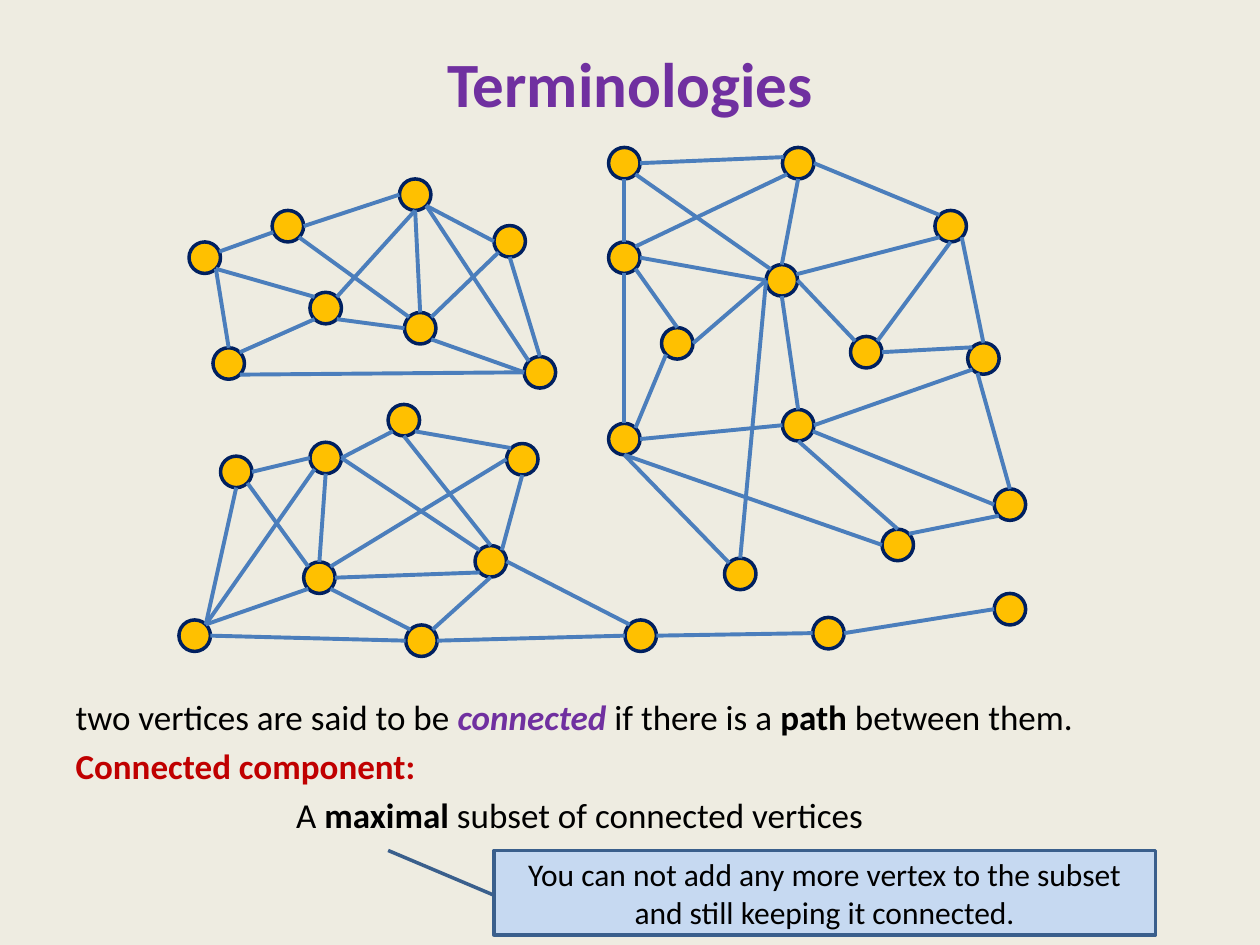
import math

import pptx
import pptx.dml.color
import pptx.enum.shapes
import pptx.enum.text
import pptx.oxml
import pptx.oxml.ns
import pptx.util

Inches = pptx.util.Inches
Pt = pptx.util.Pt
MIDDLE = pptx.enum.text.MSO_ANCHOR.MIDDLE
CENTER = pptx.enum.text.PP_ALIGN.CENTER

COLORS = {
    "background": "EEECE1", "purple": "7030A0", "red": "C00000", "black": "000000",
    "vertex": "FFC000", "vertex_line": "002060", "edge": "4B7EBC",
    "callout": "C6D9F1", "callout_line": "3A5F8C",
}
DIAMETER = 0.25
# Sixteen compass points, clockwise from east.
COMPASS = "E ESE SE SSE S SSW SW WSW W WNW NW NNW N NNE NE ENE".split()

# Vertices are offsets of each circle from the origin of its component.
# An edge such as "aSE-eNW" joins two vertices at compass points.
COMPONENTS = [
    {
        "origin": (1.5, 1.42),
        "vertices": {
            "a": (0, 0.5), "b": (0.66, 0.25), "c": (1.67, 0), "d": (2.42, 0.37),
            "e": (0.96, 0.9), "f": (1.71, 1.06), "g": (2.66, 1.41), "h": (0.19, 1.34),
        },
        "edges": "aENE-bWSW bE-cW cSE-dW bSE-fNW cS-eNE gN-dS gW-fSE gW-hSE "
                 "hNE-eSW aSE-eNW aSE-hN fW-eSE dSW-fNE fN-cS cSE-gNW",
    },
    {
        "origin": (1.42, 3.21),
        "vertices": {
            "a": (0.33, 0.41), "b": (1.04, 0.3), "c": (1.66, 0), "d": (2.6, 0.31),
            "e": (0.99, 1.25), "f": (2.35, 1.12), "g": (0, 1.71), "h": (1.8, 1.75),
            "i": (3.54, 1.71), "j": (5.03, 1.69), "k": (6.47, 1.5),
        },
        "edges": "cSE-dNW eNE-dW fNE-dS cSW-bE jE-kW fSW-eE gNE-aS bS-eN hNW-eSE gE-hW "
                 "bW-aE gNE-eSW hE-iW jW-iE fE-iNW bE-fNW aSE-eNW bSW-gNE fS-hNE cS-fN",
    },
    {
        "origin": (4.83, 1.17),
        "vertices": {
            "a": (0, 0), "b": (1.38, 0), "c": (2.59, 0.5), "d": (0, 0.75),
            "e": (1.25, 0.93), "f": (0.42, 1.43), "g": (1.92, 1.5), "h": (2.85, 1.55),
            "i": (0, 2.19), "j": (1.38, 2.08), "k": (3.06, 2.71), "l": (2.17, 3.03),
            "m": (0.92, 3.26),
        },
        "edges": "iE-jW dE-eW aE-bWNW aS-dN eENE-cSW mNW-iS dS-iN eS-jN bE-cNW hN-cSE "
                 "jE-hSW lNE-kSW dSE-fN hSSW-kN eW-mN jS-lN gE-hNW eW-fE iNE-fSW gNE-cS "
                 "iS-lW bS-eN kW-jESE aSE-eNW bSW-dNE eE-gNW",
    },
]

STATEMENTS = [
    (0, [("two vertices are said to be ", "black", {}),
         ("connected ", "purple", {"bold": True, "italic": True}),
         ("if there is a ", "black", {}),
         ("path", "black", {"bold": True}),
         (" between them.", "black", {})]),
    (0, [("Connected component:", "red", {"bold": True})]),
    (1.75, [("A ", "black", {}),
            ("maximal", "black", {"bold": True}),
            (" subset of connected vertices", "black", {})]),
]


def rgb(name):
    """Return the named colour."""
    return pptx.dml.color.RGBColor.from_string(COLORS[name])


def set_attributes(target, values):
    """Set each attribute of the target from a dict."""
    for name, value in values.items():
        setattr(target, name, value)


def place(shape, box):
    """Move a shape to a box of left, top, width and height in inches."""
    names = ("left", "top", "width", "height")
    set_attributes(shape, dict(zip(names, map(Inches, box))))


def add_run(paragraph, text, size, color, formats):
    """Append one formatted run to a paragraph."""
    run = paragraph.add_run()
    run.text = text
    set_attributes(run.font, {"name": "Calibri", "size": Pt(size), "bold": False, **formats})
    run.font.color.rgb = rgb(color)


def paint(shape, fill, line, width):
    """Give a shape a plain fill and outline."""
    shape.shadow.inherit = False
    shape.fill.solid()
    shape.fill.fore_color.rgb = rgb(fill)
    shape.line.color.rgb = rgb(line)
    shape.line.width = Pt(width)


def add_title(slide, box):
    """Fill the title placeholder, lifting its text above the middle."""
    title = slide.shapes.title
    place(title, box)
    set_attributes(title.text_frame, {"vertical_anchor": MIDDLE, "margin_bottom": Inches(0.6)})
    paragraph = title.text_frame.paragraphs[0]
    paragraph.alignment = CENTER
    add_run(paragraph, "Terminologies", 36, "purple", {"bold": True})


def add_statements(slide, box):
    """Fill the body placeholder, with its text below the graph."""
    body = slide.placeholders[1]
    place(body, box)
    frame = body.text_frame
    set_attributes(frame, {"auto_size": pptx.enum.text.MSO_AUTO_SIZE.NONE,
                           "vertical_anchor": pptx.enum.text.MSO_ANCHOR.TOP,
                           "margin_top": Inches(3.77)})
    for index, (indent, runs) in enumerate(STATEMENTS):
        paragraph = frame.add_paragraph() if index else frame.paragraphs[0]
        paragraph.space_before = Pt(4 if index else 0)
        properties = paragraph._p.get_or_add_pPr()
        properties.set("marL", str(Inches(indent)))
        properties.set("indent", "0")
        properties.append(pptx.oxml.parse_xml(
            "<a:buNone %s/>" % pptx.oxml.ns.nsdecls("a")))
        for text, color, formats in runs:
            add_run(paragraph, text, 20, color, formats)


def add_vertex(slide, left, top):
    """Draw one vertex circle."""
    vertex = slide.shapes.add_shape(
        pptx.enum.shapes.MSO_SHAPE.OVAL,
        *map(Inches, (left, top, DIAMETER, DIAMETER)))
    paint(vertex, "vertex", "vertex_line", 2)


def add_edge(slide, start, end):
    """Draw one edge between two points."""
    edge = slide.shapes.add_connector(
        pptx.enum.shapes.MSO_CONNECTOR.STRAIGHT, *map(Inches, start + end))
    edge.line.color.rgb = rgb("edge")
    edge.line.width = Pt(2.25)
    edge._element.spPr.append(pptx.oxml.parse_xml(
        "<a:effectLst %s/>" % pptx.oxml.ns.nsdecls("a")))


def add_component(slide, origin, vertices, edges):
    """Draw one connected component of the graph from its origin."""
    corners = {name: (origin[0] + x, origin[1] + y) for name, (x, y) in vertices.items()}
    radius = DIAMETER / 2

    def rim_point(site):
        """Return the point on a circle for a site such as aSE."""
        left, top = corners[site[0]]
        angle = COMPASS.index(site[1:]) * math.pi / 8
        return (left + radius * (1 + math.cos(angle)), top + radius * (1 + math.sin(angle)))

    for left, top in corners.values():
        add_vertex(slide, left, top)
    for edge in edges.split():
        start, end = edge.split("-")
        add_edge(slide, rim_point(start), rim_point(end))


def add_callout(slide, box):
    """Add the callout that explains the word maximal."""
    callout = slide.shapes.add_shape(
        pptx.enum.shapes.MSO_SHAPE.LINE_CALLOUT_1, *map(Inches, box))
    for index, value in enumerate((0.53, 0, 0, -0.16)):
        callout.adjustments[index] = value
    paint(callout, "callout", "callout_line", 2)
    set_attributes(callout.text_frame, {"word_wrap": True, "vertical_anchor": MIDDLE})
    paragraph = callout.text_frame.paragraphs[0]
    paragraph.alignment = CENTER
    add_run(paragraph, "You can not add any more vertex to the subset "
            "and still keeping it connected.", 18, "black", {})


def build_terminologies(presentation):
    """Build the slide on connected components."""
    slide = presentation.slides.add_slide(presentation.slide_layouts[1])
    slide.background.fill.solid()
    slide.background.fill.fore_color.rgb = rgb("background")
    add_title(slide, (0.5, 0.3, 9, 1.25))
    add_statements(slide, (0.5, 1.75, 9, 5.29))
    for component in COMPONENTS:
        add_component(slide, **component)
    add_callout(slide, (3.92, 6.75, 5.25, 0.67))


presentation = pptx.Presentation()
set_attributes(presentation, {"slide_width": Inches(10), "slide_height": Inches(7.5)})
build_terminologies(presentation)
presentation.save("out.pptx")
